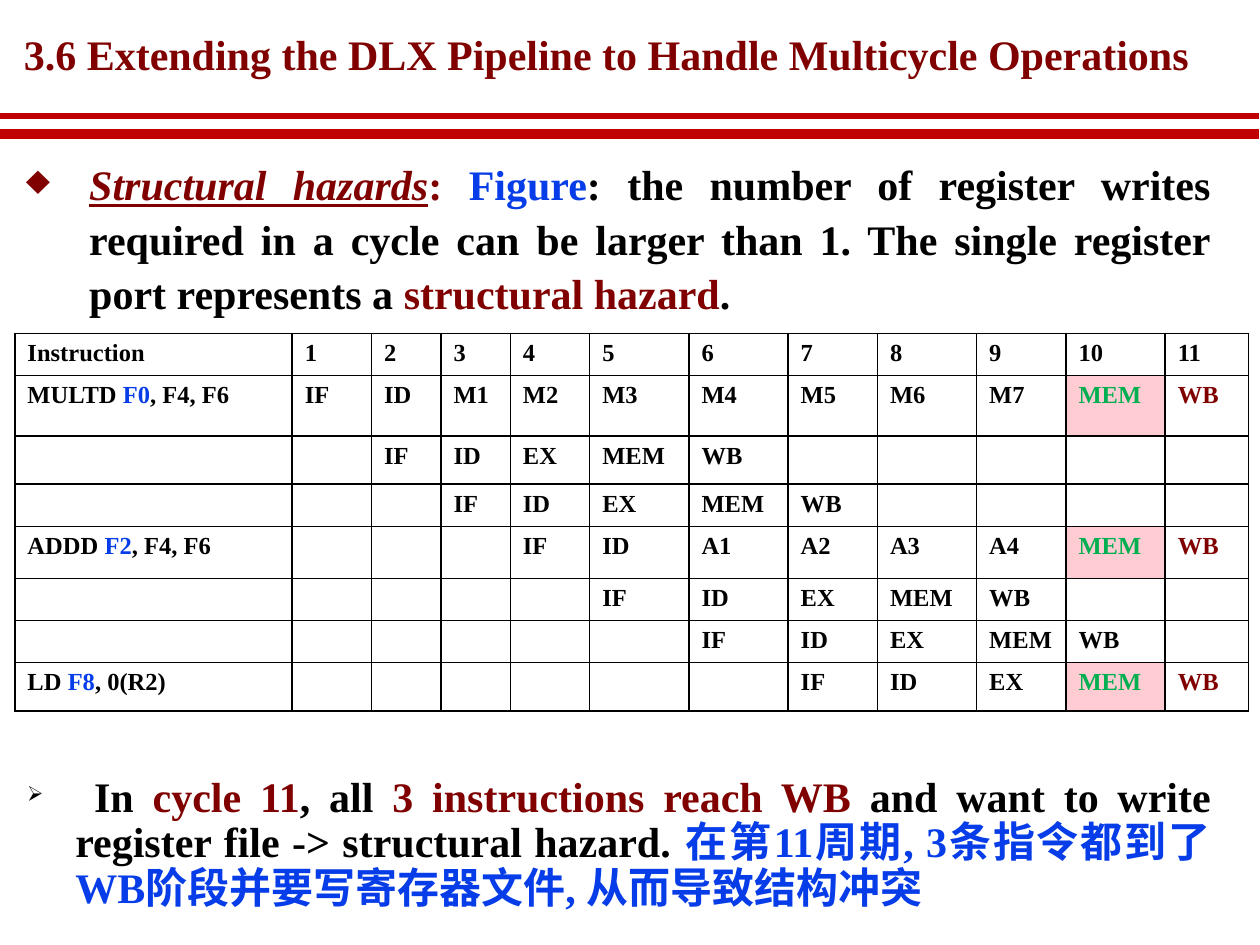
from lxml import etree
from pptx import Presentation, util as u
from pptx.dml.color import RGBColor
from pptx.enum import shapes, text
from pptx.oxml.ns import qn

MAROON = RGBColor(0x80, 0x00, 0x00)
RULE_RED = RGBColor(0xC0, 0x00, 0x00)
BLUE = RGBColor(0x06, 0x3D, 0xE8)
GREEN = RGBColor(0x00, 0xB0, 0x50)
PINK = RGBColor(0xFF, 0xCC, 0xD4)
BLACK = RGBColor(0x00, 0x00, 0x00)
FONT = "Times New Roman"

COLUMN_WIDTHS = [5.59, 1.6, 1.4, 1.4, 1.6, 2, 2, 1.8, 2, 1.8, 2, 1.68]
ROW_HEIGHTS = [0.85, 1.22, 0.97, 0.85, 1.05, 0.85, 0.85, 0.97]
SHORT_STAGES = "IF ID EX MEM WB"
# Opcode, destination register, other operands, stages; each row issues one cycle later.
INSTRUCTIONS = [
    ("MULTD ", "F0", ", F4, F6", "IF ID M1 M2 M3 M4 M5 M6 M7 MEM WB"),
    ("", "", "", SHORT_STAGES),
    ("", "", "", SHORT_STAGES),
    ("ADDD ", "F2", ", F4, F6", "IF ID A1 A2 A3 A4 MEM WB"),
    ("", "", "", SHORT_STAGES),
    ("", "", "", SHORT_STAGES),
    ("LD ", "F8", ", 0(R2)", SHORT_STAGES),
]


def add_spans(para, spans, size):
    """Append (text, colour) pairs to a paragraph as bold runs."""
    for words, colour in spans:
        span = para.add_run()
        span.text = words
        span.font.name = FONT
        span.font.size = u.Pt(size)
        span.font.bold = True
        span.font.color.rgb = colour


def set_bullet(para, character, indent, percent=100):
    props = para._p.get_or_add_pPr()
    props.set("marL", str(u.Cm(indent)))
    props.set("indent", str(-u.Cm(indent)))
    etree.SubElement(props, qn("a:buSzPct"), val=str(percent * 1000))
    etree.SubElement(props, qn("a:buChar"), char=character)


def add_text(page, left, top, width, height, spans, spacing):
    box = page.shapes.add_textbox(u.Cm(left), u.Cm(top), u.Cm(width), u.Cm(height))
    box.text_frame.word_wrap = True
    para = box.text_frame.paragraphs[0]
    para.line_spacing = spacing
    add_spans(para, spans, 24)
    return box.text_frame


def add_title(page, left, top, width, height):
    title = "3.6 Extending the DLX Pipeline to Handle Multicycle Operations"
    frame = add_text(page, left, top, width, height, [(title, MAROON)], 0.87)
    frame.word_wrap = False
    frame.vertical_anchor = text.MSO_ANCHOR.MIDDLE
    frame.margin_left = frame.margin_right = u.Cm(0.18)
    frame.margin_top = frame.margin_bottom = u.Cm(0.08)


def add_double_rule(page, left, top, width, gap):
    for offset, weight in ((0, 3), (gap, 6)):
        y = u.Cm(top + offset)
        rule = page.shapes.add_connector(
            shapes.MSO_CONNECTOR.STRAIGHT, u.Cm(left), y, u.Cm(left + width), y)
        rule.line.color.rgb = RULE_RED
        rule.line.width = u.Pt(weight)
        etree.SubElement(rule._element.spPr, qn("a:effectLst"))


def add_bullet_text(page, left, top, width, height, spans, spacing, bullet):
    frame = add_text(page, left, top, width, height, spans, spacing)
    para = frame.paragraphs[0]
    para.alignment = text.PP_ALIGN.JUSTIFY
    set_bullet(para, *bullet)
    return para


def style_cell(cell, fill):
    if fill is None:
        cell.fill.background()
    else:
        cell.fill.solid()
        cell.fill.fore_color.rgb = fill
    props = cell._tc.get_or_add_tcPr()
    for index, side in enumerate(("lnL", "lnR", "lnT", "lnB")):
        border = etree.Element(qn("a:" + side), w=str(u.Pt(1)))
        paint = etree.SubElement(border, qn("a:solidFill"))
        etree.SubElement(paint, qn("a:srgbClr"), val=str(BLACK))
        props.insert(index, border)


def fill_cell(cell, spans, fill=None):
    para = cell.text_frame.paragraphs[0]
    add_spans(para, spans, 14)
    if not spans:
        # Keeps an empty cell from stretching its row.
        etree.SubElement(para._p, qn("a:endParaRPr"), sz="1400")
    style_cell(cell, fill)


def add_pipeline_table(page, left, top):
    frame = page.shapes.add_table(
        len(ROW_HEIGHTS), len(COLUMN_WIDTHS), u.Cm(left), u.Cm(top),
        u.Cm(sum(COLUMN_WIDTHS)), u.Cm(sum(ROW_HEIGHTS)))
    table = frame.table
    table.first_row = table.horz_banding = False
    for column, width in zip(table.columns, COLUMN_WIDTHS):
        column.width = u.Cm(width)
    for row, height in zip(table.rows, ROW_HEIGHTS):
        row.height = u.Cm(height)

    cycles = range(1, len(COLUMN_WIDTHS))
    for col, label in enumerate(["Instruction", *map(str, cycles)]):
        fill_cell(table.cell(0, col), [(label, BLACK)])
    for issue, (opcode, target, operands, stages) in enumerate(INSTRUCTIONS, 1):
        name = [(opcode, BLACK), (target, BLUE), (operands, BLACK)] if opcode else []
        fill_cell(table.cell(issue, 0), name)
        by_cycle = dict(enumerate(stages.split(), issue))
        for cycle in cycles:
            stage = by_cycle.get(cycle)
            colour = {"MEM": GREEN, "WB": MAROON}.get(stage, BLACK) if opcode else BLACK
            fill_cell(table.cell(issue, cycle), [(stage, colour)] if stage else [],
                      PINK if colour == GREEN else None)


def build_slide(page):
    add_title(page, 0.3, 0.64, 24.08, 1.04)
    add_double_rule(page, -0.03, 2.34, 25.4, 0.36)
    hazard = add_bullet_text(page, 0.28, 3, 24.38, 3.58, [
        ("Structural hazards", MAROON),
        (": ", MAROON),
        ("Figure", BLUE),
        (": the number of register writes required in a cycle can be larger than 1. "
         "The single register port represents a ", BLACK),
        ("structural hazard", MAROON),
        (". ", BLACK),
    ], u.Pt(31), ("♦", 1.27))
    hazard.runs[0].font.italic = True
    hazard.runs[0].font.underline = True
    add_pipeline_table(page, 0.3, 6.72)
    add_bullet_text(page, 0.3, 15.52, 24.36, 3.02, [
        (" In ", BLACK),
        ("cycle 11", MAROON),
        (", all ", BLACK),
        ("3 instructions reach WB ", MAROON),
        ("and want to write register file -> structural hazard. ", BLACK),
        ("在第11周期, 3条指令都到了WB阶段并要写寄存器文件, 从而导致结构冲突", BLUE),
    ], 0.9, ("➢", 0.97, 50))


def main():
    deck = Presentation()
    deck.slide_width, deck.slide_height = u.Cm(25.4), u.Cm(19.05)
    build_slide(deck.slides.add_slide(deck.slide_layouts[6]))
    deck.save("out.pptx")


if __name__ == "__main__":
    main()
